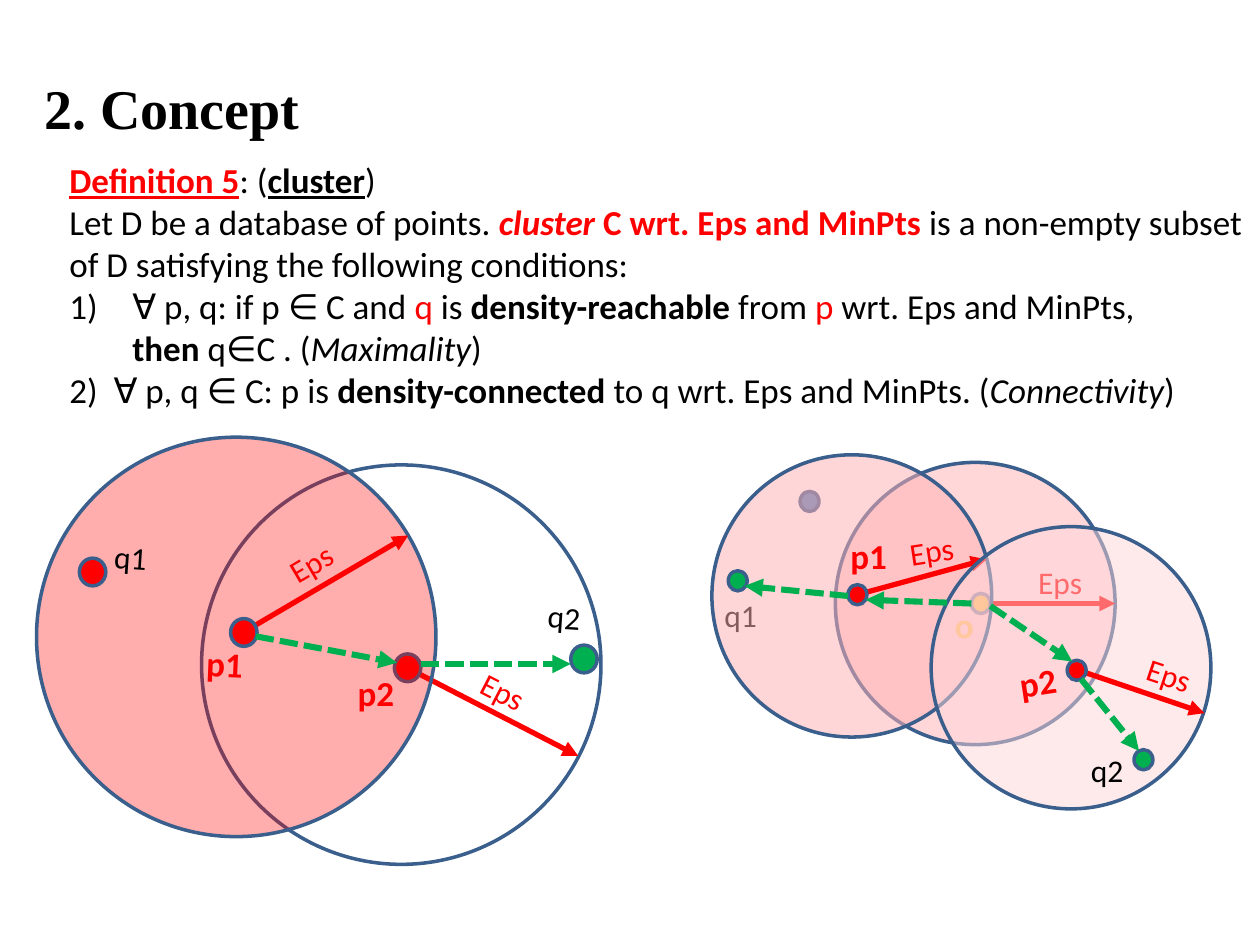
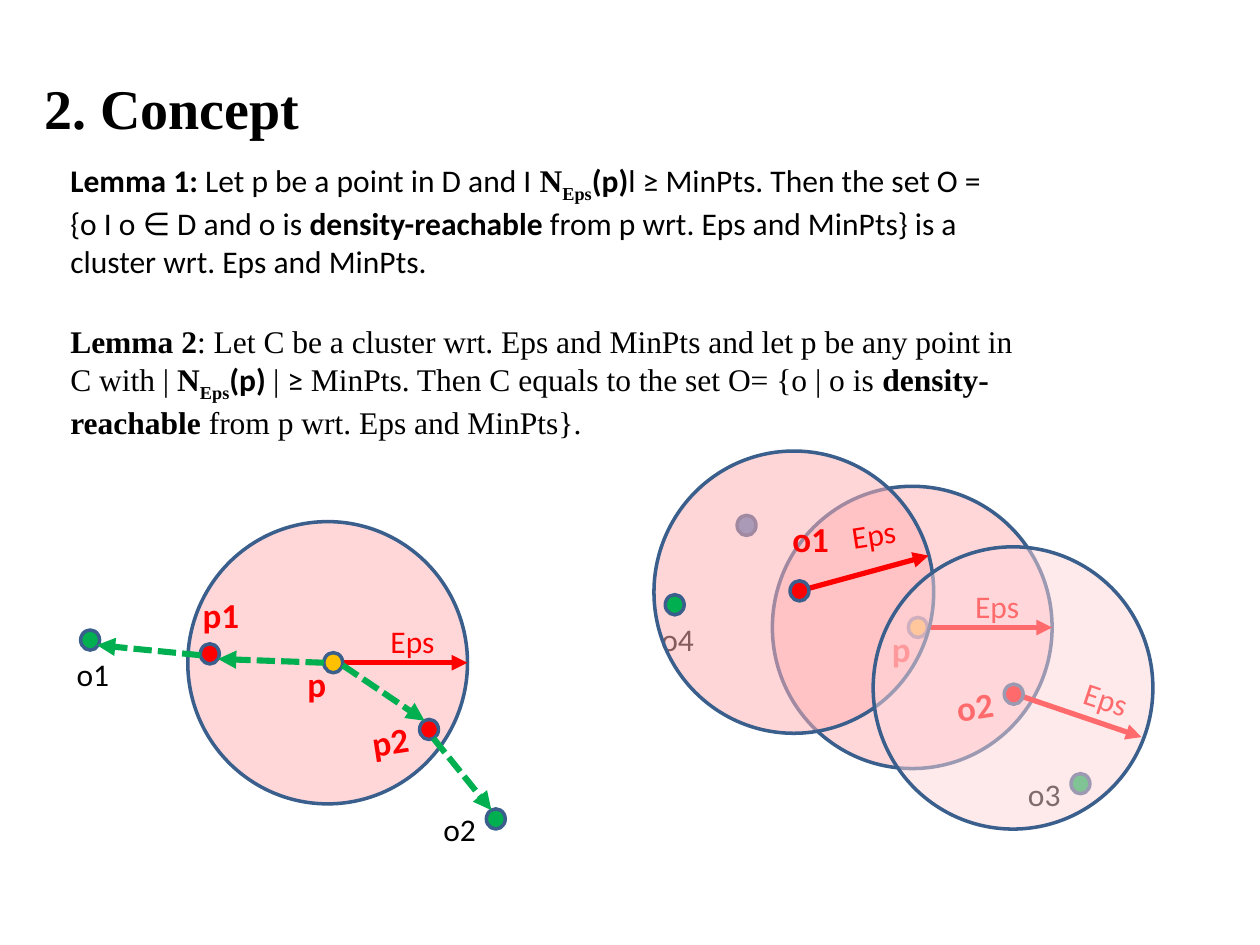
from lxml import etree
from pptx import Presentation
from pptx.dml.color import RGBColor
from pptx.enum.dml import MSO_LINE
from pptx.enum.shapes import MSO_CONNECTOR, MSO_SHAPE
from pptx.enum.text import MSO_ANCHOR, MSO_AUTO_SIZE, PP_ALIGN
from pptx.oxml.ns import qn
from pptx.util import Inches, Pt

OVAL, STRAIGHT = MSO_SHAPE.OVAL, MSO_CONNECTOR.STRAIGHT
DASH = MSO_LINE.SQUARE_DOT
TOP, LEFT, FIXED = MSO_ANCHOR.TOP, PP_ALIGN.LEFT, MSO_AUTO_SIZE.NONE

BLACK = RGBColor(0x00, 0x00, 0x00)
RED = RGBColor(0xFF, 0x00, 0x00)
GREEN = RGBColor(0x00, 0xB0, 0x50)
GOLD = RGBColor(0xFF, 0xC0, 0x00)
BLUE = RGBColor(0x4F, 0x81, 0xBD)
NAVY = RGBColor(0x3A, 0x5F, 0x8C)
PINK = RGBColor(0xFF, 0xB1, 0xB5)
PALE = RGBColor(0xFF, 0xD6, 0xD9)

SANS, SERIF = "Calibri", "Times New Roman"

# The slide is a grid of 10 columns by 7.5 rows
WIDE, HIGH = Inches(10), Inches(7.5)
CELL = WIDE / 10
RING, DOT = (2.22, 2.24), (0.15, 0.16)
BIG_RING, BIG_DOT = (3.17, 3.17), (0.21, 0.22)

# Text runs: b bold, i italic, u underline, r red, s subscript, c sans, t serif
DEFINITION = [
    [("Definition 5", "bur"), (": (", ""), ("cluster", "bu"), (")", "")],
    [("Let D be a database of points. ", ""), ("cluster ", "bir"),
     ("C wrt. Eps and MinPts ", "br"),
     ("is a non-empty subset of D satisfying the following conditions:", "")],
    [("∀ p, q: if p ∈ C and ", ""), ("q", "r"), (" is ", ""),
     ("density-reachable", "b"), (" from ", ""), ("p", "r"),
     (" wrt. Eps and MinPts, ", ""), ("\n", ""), ("then", "b"),
     (" q∈C . (", ""), ("Maximality", "i"), (")", "")],
    [("2)  ∀ p, q ∈ C: p is ", ""), ("density-connected", "b"),
     (" to q wrt. Eps and MinPts. (", ""), ("Connectivity", "i"), (")", "")],
]
LEMMA_1 = [
    ("Lemma 1: ", "bc"), ("Let p be a point in D and I", "c"), (" N", "bt"),
    ("Eps", "bst"), ("(p)", "bc"),
    ("l ≥ MinPts. Then the set O = {o I o ∈ D and o is ", "c"),
    ("density-reachable", "bc"),
    (" from p wrt. Eps and MinPts} is a cluster wrt. Eps and MinPts.", "c")]
LEMMA_2 = [
    ("Lemma 2", "bt"),
    (": Let C be a cluster wrt. Eps and MinPts and let p be any point in "
     "C with |", "t"),
    (" N", "bt"), ("Eps", "bst"), ("(p) ", "bc"), ("| ", "t"), ("≥", "c"),
    (" MinPts. Then C equals to the set O= {o | o is ", "t"),
    ("density-reachable", "bt"), (" from p wrt. Eps and MinPts}.", "t")]


def cells(*nums):
    return [round(n * CELL) for n in nums]


def place(shape, left, top, width, height):
    shape.left, shape.top, shape.width, shape.height = cells(
        left, top, width, height)


def write(para, runs, size):
    para.alignment = LEFT
    para.space_before = Pt(0)
    para.font.size = Pt(size)
    for text, style in runs:
        if text == "\n":
            para.add_line_break()
            continue
        run = para.add_run()
        run.text = text
        font = run.font
        font.size = Pt(size)
        font.name = SERIF if "t" in style else SANS
        font.color.rgb = RED if "r" in style else BLACK
        font.bold, font.italic = "b" in style, "i" in style
        font.underline = "u" in style
        if "s" in style:
            run._r.get_or_add_rPr().set("baseline", "-25000")


class Board:
    """Draws parts at places counted from a corner, in grid cells."""

    def __init__(self, slide, left, top):
        self.shapes, self.left, self.top = slide.shapes, left, top

    def at(self, x, y):
        return cells(self.left + x, self.top + y)

    def oval(self, x, y, size, color=None, alpha=None):
        oval = self.shapes.add_shape(OVAL, *self.at(x, y), *cells(*size))
        oval.shadow.inherit = False
        if color is None:
            oval.fill.background()
        else:
            oval.fill.solid()
            oval.fill.fore_color.rgb = color
        if alpha:
            tint = oval._element.spPr.find(".//" + qn("a:srgbClr"))
            etree.SubElement(tint, qn("a:alpha"), val=str(alpha * 1000))
        oval.line.color.rgb = NAVY
        oval.line.width = Pt(2)

    def arrow(self, start, end, color=RED, width=3, dash=None):
        arrow = self.shapes.add_connector(
            STRAIGHT, *self.at(*start), *self.at(*end))
        arrow.line.color.rgb = color
        arrow.line.width = Pt(width)
        if dash:
            arrow.line.dash_style = dash
        props = arrow._element.spPr
        etree.SubElement(props.find(qn("a:ln")), qn("a:tailEnd"),
                         type="triangle")
        etree.SubElement(props, qn("a:effectLst"))

    def step(self, start, end):
        self.arrow(start, end, GREEN, 3.5, DASH)

    def label(self, text, x, y, color=BLACK, bold=False, turn=0):
        box = self.shapes.add_textbox(*self.at(x, y), *cells(0.65, 0.42))
        # Turn about the middle of the text box
        box.rotation = turn
        frame = box.text_frame
        frame.word_wrap = True
        frame.margin_right = 0
        para = frame.paragraphs[0]
        para.text = text
        font = para.font
        font.name, font.size = SANS, Pt(20 if bold else 18)
        font.bold, font.color.rgb = bold, color

    def name(self, text, x, y, color=RED, turn=0):
        self.label(text, x, y, color, True, turn)

    def eps(self, x, y, turn=0):
        self.label("Eps", x, y, RED, turn=turn)


def start(deck, layout):
    slide = deck.slides.add_slide(deck.slide_layouts[layout])
    title = slide.shapes.title
    place(title, 0.35, 0.58, 9.3, 0.54)
    frame = title.text_frame
    frame.margin_left = frame.margin_right = 0
    frame.margin_top = frame.margin_bottom = 0
    frame.vertical_anchor, frame.auto_size = TOP, FIXED
    para = frame.paragraphs[0]
    para.text, para.alignment = "2. Concept", LEFT
    font = para.font
    font.name, font.size, font.bold = SERIF, Pt(32), True
    font.color.rgb = BLACK
    return slide


def define(slide):
    body = slide.placeholders[1]
    place(body, 0.45, 1.21, 9.55, 2.12)
    frame = body.text_frame
    frame.auto_size = FIXED
    for num, runs in enumerate(DEFINITION):
        para = frame.add_paragraph() if num else frame.paragraphs[0]
        props = para._p.get_or_add_pPr()
        listed = num == 2
        indent = Inches(0.5) if listed else 0
        props.set("marL", str(indent))
        props.set("indent", str(-indent))
        if listed:
            etree.SubElement(props, qn("a:buFont"), typeface="+mj-lt")
            etree.SubElement(props, qn("a:buAutoNum"), type="arabicParenR")
        else:
            etree.SubElement(props, qn("a:buNone"))
        write(para, runs, 20)


def lemma(slide, runs, top, width):
    box = slide.shapes.add_textbox(*cells(0.46, top, width, 1.01))
    box.text_frame.word_wrap = True
    write(box.text_frame.paragraphs[0], runs, 18)


def reach(slide, left, top):
    """Two large overlapping neighbourhoods."""
    board = Board(slide, left, top)
    # Neighbourhood of p2
    board.oval(1.31, 0.22, BIG_RING)
    board.arrow((3, 1.86), (4.3, 2.53))
    board.name("p2", 2.45, 1.81)
    board.oval(4.24, 1.65, BIG_DOT, GREEN)
    board.eps(3.42, 1.84, 27.2)
    board.label("q2", 3.96, 1.23, turn=3.8)
    board.oval(2.84, 1.72, BIG_DOT, RED)
    # Neighbourhood of p1
    board.oval(0, 0, BIG_RING, RED, 32)
    board.arrow((1.69, 1.52), (2.95, 0.78))
    board.name("p1", 1.25, 1.58, turn=2.5)
    board.oval(0.34, 0.96, BIG_DOT, RED)
    board.label("q1", 0.52, 0.76, turn=3.8)
    board.eps(1.9, 0.77, 329.6)
    board.oval(1.54, 1.44, BIG_DOT, RED)
    # Path from p1 to q2
    board.step((3.05, 1.8), (4.24, 1.8))
    board.step((1.74, 1.58), (2.86, 1.79))


def core(board, name, color, far):
    board.oval(0, 0, RING, PINK, 50)
    board.arrow((1.2, 1.12), (2.22, 1.12))
    board.name(name, 0.85, 1.07, color)
    board.label(far, -0.98, 1.01)
    board.eps(1.51, 0.75)
    board.oval(1.08, 1.04, DOT, GOLD)


def west(board, name, rise):
    board.oval(-0.28, 0.23, DOT, BLUE)
    side = Board(board, board.left - 0.98 + rise * 0.4,
                 board.top - 0.06 - rise * 2.2)
    side.oval(0, 0, RING, PINK, 52)
    side.arrow((1.19, 1.1), (2.18, 0.83))
    side.name(name, 1, 0.58 - rise)
    side.eps(1.47, 0.55 - rise, 351.3)
    side.oval(1.08, 1.03, DOT, RED)


def east(board, name, far, eps=True):
    if eps:
        board.arrow((1.96, 1.66), (2.93, 1.99))
        board.eps(2.37, 1.5, 18.5)
    board.name(name, 1.36, 1.51, turn=351.3)
    board.oval(2.37, 2.28, DOT, GREEN)
    board.label(far, 1.93, 2.24)
    board.oval(1.84, 1.57, DOT, RED)


def end(board):
    board.oval(-0.85, 0.86, DOT, GREEN)


def steps(board):
    for tail, head in [((0.1, 1.06), (-0.72, 0.98)),
                       ((1.08, 1.12), (0.24, 1.09)),
                       ((1.23, 1.14), (1.88, 1.58)),
                       ((1.95, 1.72), (2.41, 2.29))]:
        board.step(tail, head)


def connect(slide, left, top):
    """Three neighbourhoods with the path through them."""
    board = Board(slide, left, top)
    core(board, "o", GOLD, "q1")
    west(board, "p1", 0)
    board.oval(0.76, 0.51, RING, PALE, 50)
    east(board, "p2", "q2")
    end(board)
    steps(board)


def single(slide, left, top):
    """One neighbourhood with paths leading out of it."""
    board = Board(slide, left, top)
    core(board, "p", RED, "o1")
    board.name("p1", 0.02, 0.52)
    board.oval(0.1, 0.97, DOT, RED)
    east(board, "p2", "o2", eps=False)
    end(board)
    steps(board)


def union(slide, left, top):
    """Three neighbourhoods that make up the cluster."""
    board = Board(slide, left, top)
    core(board, "p", RED, "o4")
    west(board, "o1", 0.1)
    east(board, "o2", "o3")
    end(board)
    board.oval(0.8, 0.48, RING, PALE, 50)


def main():
    deck = Presentation()
    deck.slide_width, deck.slide_height = WIDE, HIGH

    # Definition of a cluster
    slide = start(deck, 1)
    define(slide)
    reach(slide, 0.29, 3.47)
    connect(slide, 6.63, 3.67)

    # Lemmas
    slide = start(deck, 5)
    lemma(slide, LEMMA_1, 1.23, 7.68)
    lemma(slide, LEMMA_2, 2.51, 7.8)
    single(slide, 1.49, 4.14)
    union(slide, 6.13, 3.86)

    deck.save("out.pptx")


if __name__ == "__main__":
    main()
